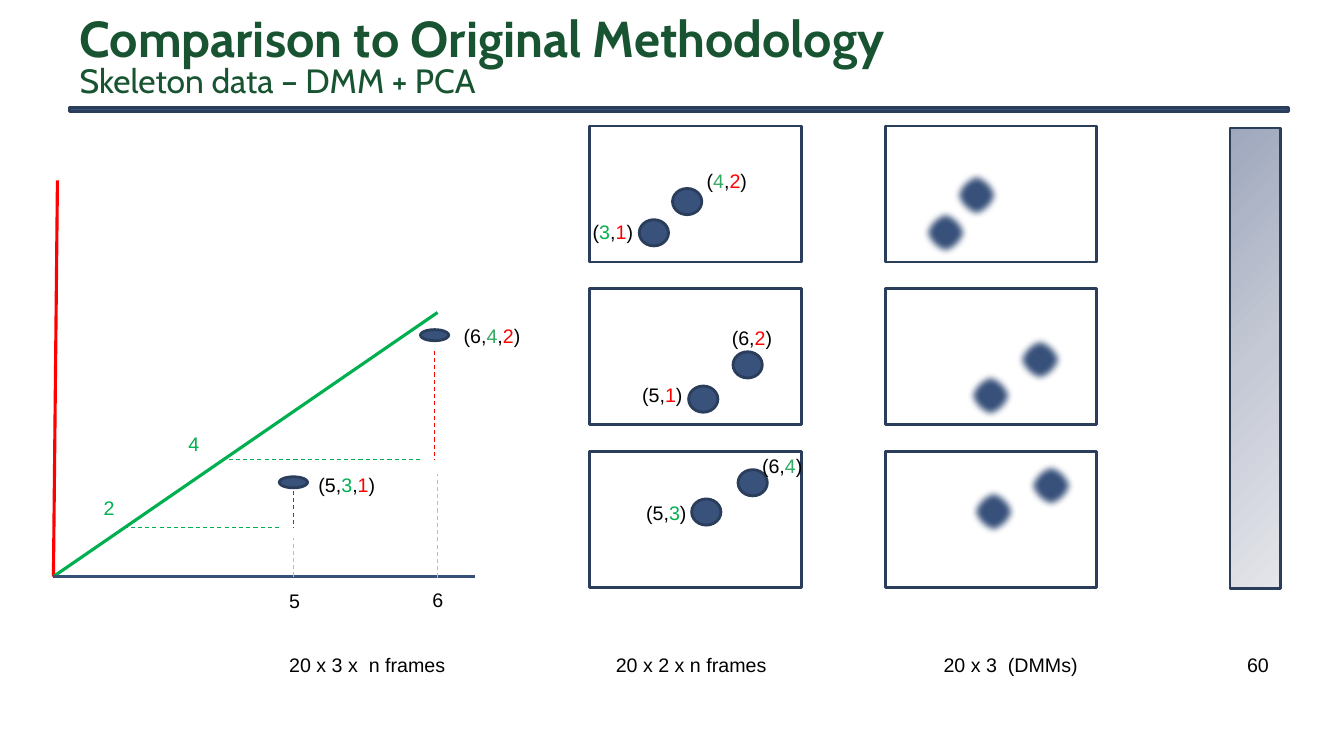
from dataclasses import dataclass

from pptx import Presentation
from pptx.dml.color import RGBColor
from pptx.enum.dml import MSO_LINE
from pptx.enum.shapes import MSO_CONNECTOR, MSO_SHAPE
from pptx.enum.text import MSO_ANCHOR, MSO_AUTO_SIZE, PP_ALIGN
from pptx.oxml import parse_xml
from pptx.oxml.ns import nsdecls, qn
from pptx.shapes.autoshape import Shape
from pptx.slide import Slide
from pptx.util import Emu, Pt

PX = 9144  # EMU per px, 100 px to the inch

TITLE_GREEN = RGBColor(0x18, 0x54, 0x31)
NAVY = RGBColor(0x39, 0x52, 0x7B)
OUTLINE = RGBColor(0x2A, 0x3D, 0x5B)
AXIS_BLUE = RGBColor(0x36, 0x50, 0x7A)
PALE_BLUE = RGBColor(0xA1, 0xC1, 0xDE)
RED = RGBColor(0xFF, 0x00, 0x00)
GREEN = RGBColor(0x00, 0xB0, 0x50)
SOFT_GREEN = RGBColor(0x31, 0xA9, 0x62)
BLACK = RGBColor(0x00, 0x00, 0x00)
VECTOR_STOPS = ((0, "9EA7BC"), (50, "C5C9D5"), (100, "E3E5EA"))

ROW_TOPS = (125, 286, 448)
COLUMN_LEFTS = (585, 878)
FRAME_W, FRAME_H = 210, 135
LABEL_H = 34


@dataclass(frozen=True)
class Line:
    x1: int
    y1: int
    x2: int
    y2: int
    color: RGBColor
    width: float = 0.75
    dashed: bool = True


@dataclass(frozen=True)
class Dot:
    x: int
    y: int
    w: int = 29
    h: int = 26
    soft: bool = False


@dataclass(frozen=True)
class Label:
    x: int
    y: int
    w: int
    text: str
    color: RGBColor = BLACK


@dataclass(frozen=True)
class Point:
    """A coordinate label: each value takes the colour of its axis."""
    x: int
    y: int
    w: int
    values: tuple[tuple[int, RGBColor], ...]


LINES = (
    # Axes
    Line(57, 179, 53, 572, RED, 2.25, False),
    Line(434, 310, 53, 572, GREEN, 2.25, False),
    Line(471, 572, 53, 572, AXIS_BLUE, 2.25, False),
    # Projections
    Line(291, 487, 291, 523, RED),
    Line(431, 348, 431, 456, RED),
    Line(277, 523, 125, 523, GREEN),
    Line(291, 572, 291, 534, PALE_BLUE),
    Line(434, 573, 434, 470, PALE_BLUE),
    Line(417, 456, 227, 456, GREEN),
)

DOTS = (
    Dot(277, 473, 28, 11), Dot(417, 327, 28, 11),
    Dot(634, 218), Dot(667, 187),
    Dot(683, 383), Dot(727, 349),
    Dot(686, 495), Dot(732, 466),
) + tuple(Dot(x, y, 47, 47, True) for x, y in (
    (945, 170), (914, 207), (1008, 333), (959, 369), (1019, 458), (962, 484)))

LABELS = (
    Label(277, 579, 31, "5"), Label(419, 578, 31, "6"),
    Label(93, 487, 31, "2", GREEN), Label(177, 424, 31, "4", GREEN),
    Label(277, 643, 176, "20 x 3 x  n frames"),
    Label(601, 643, 170, "20 x 2 x n frames"),
    Label(926, 643, 154, "20 x 3  (DMMs)"),
    Label(1227, 643, 42, "60"),
)

POINTS = (
    Point(306, 464, 77, ((5, BLACK), (3, GREEN), (1, RED))),
    Point(450, 316, 77, ((6, BLACK), (4, SOFT_GREEN), (2, RED))),
    Point(578, 213, 60, ((3, GREEN), (1, RED))),
    Point(691, 163, 60, ((4, SOFT_GREEN), (2, RED))),
    Point(716, 318, 60, ((6, BLACK), (2, RED))),
    Point(746, 445, 60, ((6, BLACK), (4, SOFT_GREEN))),
    Point(627, 375, 60, ((5, BLACK), (1, RED))),
    Point(631, 492, 60, ((5, BLACK), (3, GREEN))),
)


def px(*lengths: int) -> list[Emu]:
    return [Emu(n * PX) for n in lengths]


def add_shape(s: Slide, kind: MSO_SHAPE, x: int, y: int, w: int, h: int,
              fill: RGBColor | None = None) -> Shape:
    sp = s.shapes.add_shape(kind, *px(x, y, w, h))
    sp.shadow.inherit = False
    if fill is None:
        sp.fill.background()
    else:
        sp.fill.solid()
        sp.fill.fore_color.rgb = fill
    sp.line.color.rgb = OUTLINE
    sp.line.width = Pt(2)
    return sp


def add_dot(s: Slide, dot: Dot) -> None:
    sp = add_shape(s, MSO_SHAPE.OVAL, dot.x, dot.y, dot.w, dot.h, NAVY)
    if dot.soft:
        effects = sp._element.spPr.find(qn("a:effectLst"))
        effects.append(parse_xml(f'<a:softEdge {nsdecls("a")} rad="63500"/>'))


def add_line(s: Slide, line: Line) -> None:
    c = s.shapes.add_connector(
        MSO_CONNECTOR.STRAIGHT, *px(line.x1, line.y1, line.x2, line.y2))
    c.line.color.rgb = line.color
    c.line.width = Pt(line.width)
    if line.dashed:
        c.line.dash_style = MSO_LINE.DASH
    c._element.spPr.append(parse_xml(f'<a:effectLst {nsdecls("a")}/>'))


def add_text(s: Slide, x: int, y: int, w: int,
             parts: list[tuple[str, RGBColor]]) -> None:
    tf = s.shapes.add_textbox(*px(x, y, w, LABEL_H)).text_frame
    tf.word_wrap = False
    tf.auto_size = MSO_AUTO_SIZE.SHAPE_TO_FIT_TEXT
    p = tf.paragraphs[0]
    p.font.name = "Arial"
    p.font.size = Pt(14)
    for text, color in parts:
        r = p.add_run()
        r.text = text
        r.font.color.rgb = color


def add_point(s: Slide, point: Point) -> None:
    parts = []
    for i, (value, color) in enumerate(point.values):
        parts += [("," if i else "(", BLACK), (str(value), color)]
    add_text(s, point.x, point.y, point.w, parts + [(")", BLACK)])


def add_title(s: Slide) -> None:
    sp = s.shapes.title
    sp.left, sp.top, sp.width, sp.height = px(69, 36, 1200, 68)
    tf = sp.text_frame
    tf.auto_size = MSO_AUTO_SIZE.NONE
    tf.vertical_anchor = MSO_ANCHOR.BOTTOM
    p = tf.paragraphs[0]
    p.alignment = PP_ALIGN.LEFT
    p.line_spacing = 0.8
    p.font.name = "Cabin"
    p.font.color.rgb = TITLE_GREEN
    r = p.add_run()
    r.text = "Comparison to Original Methodology"
    r.font.size, r.font.bold = Pt(36), True
    p.add_line_break()
    r = p.add_run()
    r.text = "Skeleton data – DMM + PCA"
    r.font.size, r.font.bold = Pt(24), False


def add_feature_vector(s: Slide) -> None:
    sp = add_shape(s, MSO_SHAPE.RECTANGLE, 1220, 127, 50, 457)
    stops = "".join(f'<a:gs pos="{pos * 1000}"><a:srgbClr val="{color}"/></a:gs>'
                    for pos, color in VECTOR_STOPS)
    spPr = sp._element.spPr
    spPr.replace(spPr.find(qn("a:noFill")), parse_xml(
        f'<a:gradFill {nsdecls("a")}><a:gsLst>{stops}</a:gsLst>'
        '<a:lin ang="2700000" scaled="0"/></a:gradFill>'))


def main() -> None:
    prs = Presentation()
    prs.slide_width, prs.slide_height = px(1333, 750)
    s = prs.slides.add_slide(prs.slide_layouts[5])

    # Heading and rule
    add_title(s)
    add_shape(s, MSO_SHAPE.RECTANGLE, 69, 107, 1209, 4, NAVY)

    # Projection frames and feature vector
    for left in COLUMN_LEFTS:
        for top in ROW_TOPS:
            add_shape(s, MSO_SHAPE.RECTANGLE, left, top, FRAME_W, FRAME_H)
    add_feature_vector(s)

    # Axes, joints and labels
    for line in LINES:
        add_line(s, line)
    for dot in DOTS:
        add_dot(s, dot)
    for label in LABELS:
        add_text(s, label.x, label.y, label.w, [(label.text, label.color)])
    for point in POINTS:
        add_point(s, point)

    prs.save("out.pptx")


if __name__ == "__main__":
    main()
